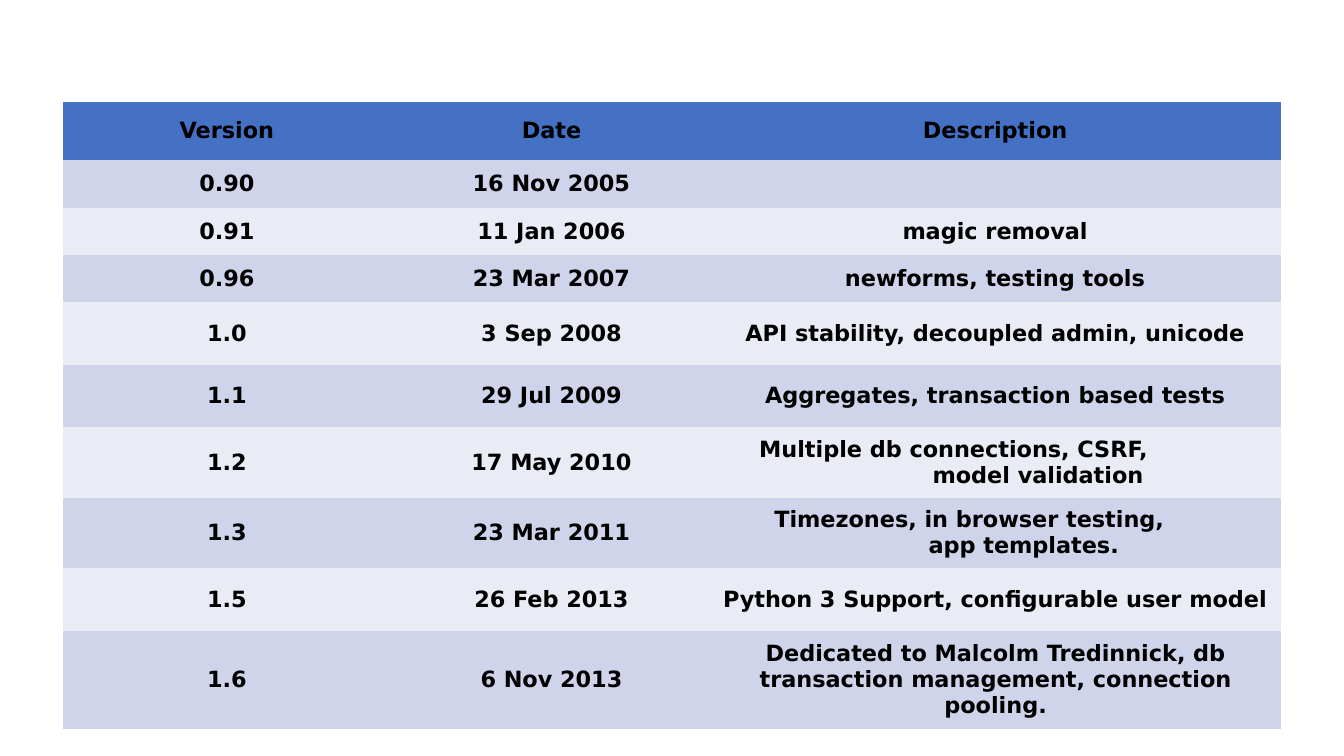
from pptx import Presentation
from pptx.dml.color import RGBColor
from pptx.enum.text import MSO_ANCHOR as Anchor, PP_ALIGN as Align
from pptx.oxml.ns import qn
from pptx.util import Inches, Pt

HEAD = ("Version", "Date", "Description")
RELEASES = [
    ("0.90", "16 Nov 2005", ""),
    ("0.91", "11 Jan 2006", "magic removal"),
    ("0.96", "23 Mar 2007", "newforms, testing tools"),
    ("1.0", "3 Sep 2008", "API stability, decoupled admin, unicode"),
    ("1.1", "29 Jul 2009", "Aggregates, transaction based tests"),
    ("1.2", "17 May 2010", "Multiple db connections, CSRF, model validation"),
    ("1.3", "23 Mar 2011", "Timezones, in browser testing, app templates."),
    ("1.5", "26 Feb 2013", "Python 3 Support, configurable user model"),
    ("1.6", "6 Nov 2013", "Dedicated to Malcolm Tredinnick, db transaction "
                          "management, connection pooling."),
]
WIDTHS = (3.07, 3.03, 5.99)
HEIGHTS = (0.58, 0.47, 0.47, 0.47, 0.62, 0.62, 0.7, 0.7, 0.62, 0.97)
LEFT, TOP = 0.62, 1.01
INSETS = ((0.19, 0), (0.53, 0), (0.31, 0))  # left and right, by column
WIDE = {"1.6": (0.8, 0.48)}                 # narrower description
HANGING = {"1.2": (2.53, -1.72), "1.3": (2.49, -1.53)}  # left, first line
HANG_RIGHT = 0.9

BLACK = RGBColor(0x00, 0x00, 0x00)
BLUE = RGBColor(0x44, 0x71, 0xC4)
BANDS = (RGBColor(0xE9, 0xEB, 0xF5), RGBColor(0xCF, 0xD4, 0xEA))
FONT = "DejaVu Sans"
NO_STYLE = "{2D5ABB26-0587-4C30-8999-92F81FD0307C}"


def fill_cell(cell, text, color, inset, hang=None):
    cell.fill.solid()
    cell.fill.fore_color.rgb = color
    cell.vertical_anchor = Anchor.MIDDLE
    cell.margin_top = cell.margin_bottom = 0
    cell.margin_left, cell.margin_right = map(Inches, inset)
    if not text:
        return
    para = cell.text_frame.paragraphs[0]
    para.alignment = Align.CENTER
    if hang:
        para.alignment = Align.LEFT
        props = para._p.get_or_add_pPr()
        for name, length in zip(("marL", "indent"), hang):
            props.set(name, str(Inches(length)))
    run = para.add_run()
    run.text = text
    font = run.font
    font.name, font.size, font.bold = FONT, Pt(16), True
    font.color.rgb = BLACK


def main():
    deck = Presentation()
    deck.slide_width, deck.slide_height = Inches(13.33), Inches(7.5)
    slide = deck.slides.add_slide(deck.slide_layouts[6])
    rows = [HEAD] + RELEASES
    table = slide.shapes.add_table(
        len(rows), len(HEAD), Inches(LEFT), Inches(TOP),
        Inches(sum(WIDTHS)), Inches(sum(HEIGHTS))).table
    table.first_row = table.horz_banding = False
    table._tbl.tblPr.find(qn("a:tableStyleId")).text = NO_STYLE
    for column, width in zip(table.columns, WIDTHS):
        column.width = Inches(width)
    for row, height in zip(table.rows, HEIGHTS):
        row.height = Inches(height)

    for r, texts in enumerate(rows):
        color = BANDS[r % 2] if r else BLUE
        for c, text in enumerate(texts):
            inset, hang = INSETS[c], None
            if c == 2:
                inset = WIDE.get(texts[0], inset)
                hang = HANGING.get(texts[0])
                if hang:
                    inset = (0, HANG_RIGHT)
            fill_cell(table.cell(r, c), text, color, inset, hang)
    deck.save("out.pptx")


if __name__ == "__main__":
    main()
